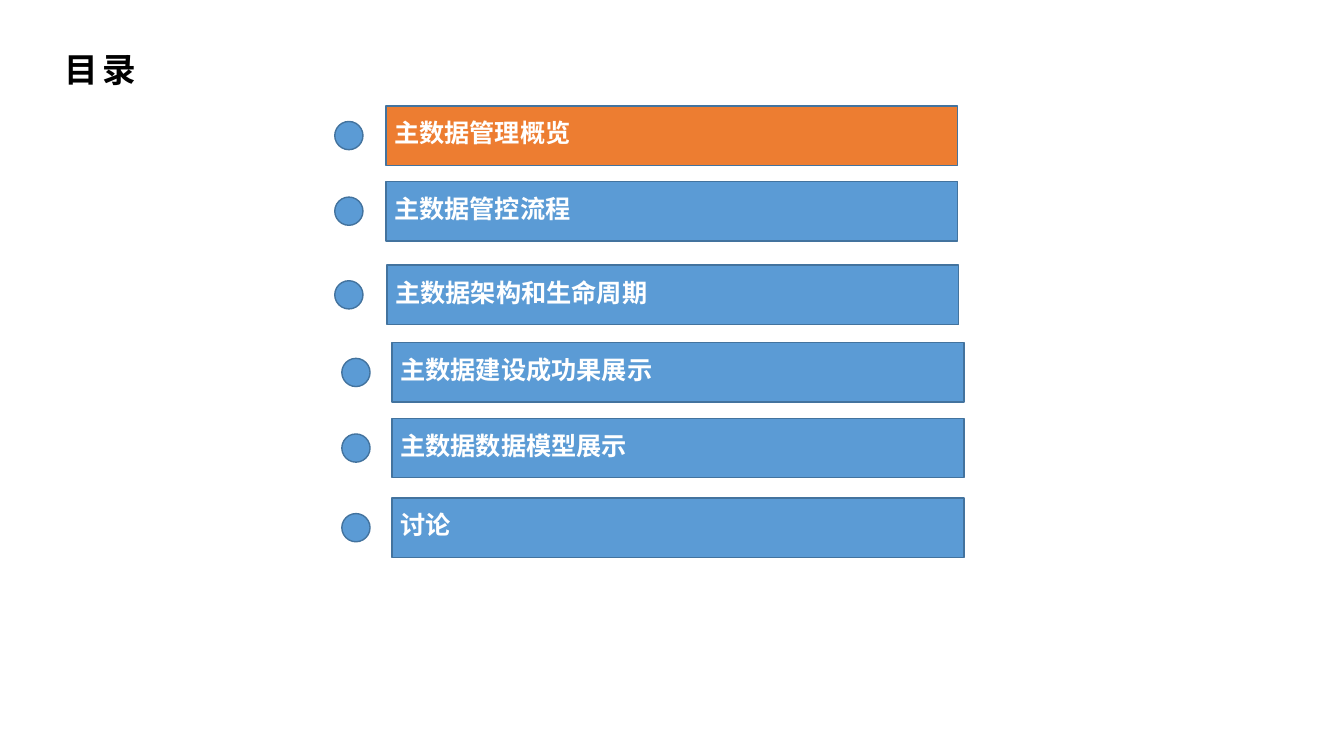
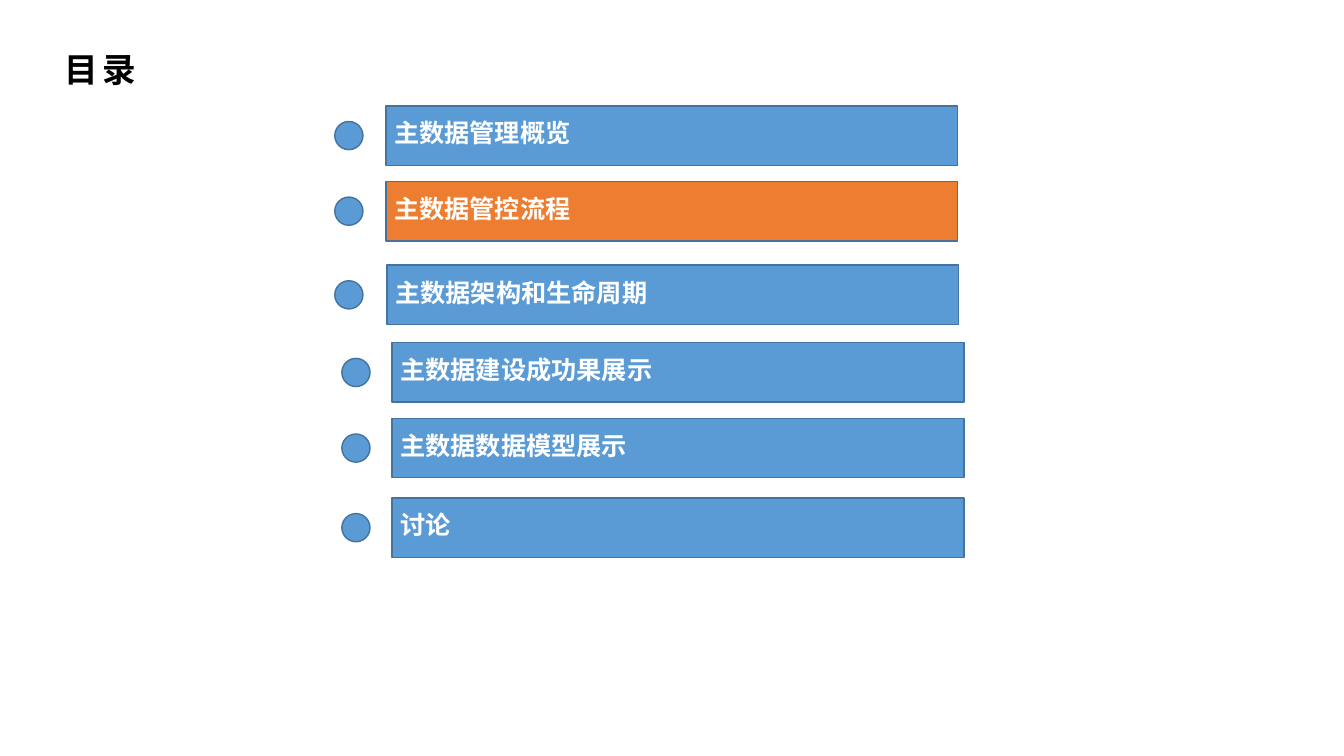
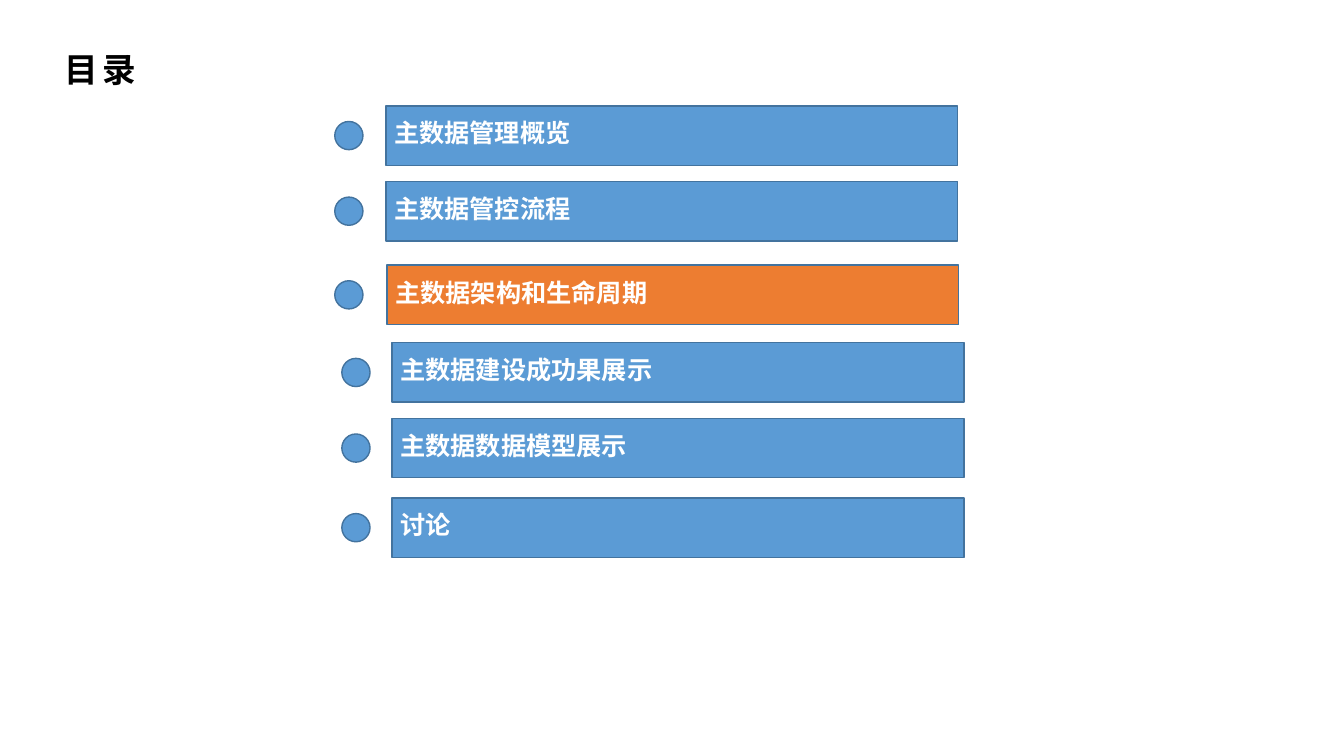
import pptx
import pptx.dml.color
import pptx.enum.lang
import pptx.enum.shapes
import pptx.enum.text
import pptx.util

SHAPES = pptx.enum.shapes.MSO_SHAPE
ANCHORS = pptx.enum.text.MSO_ANCHOR

TITLE = "目录"
# topic, bar left, bar top, dot left
TOPICS = [
    ("主数据管理概览", 383, 105, 332),
    ("主数据管控流程", 383, 180, 332),
    ("主数据架构和生命周期", 384, 263, 332),
    ("主数据建设成功果展示", 389, 340, 339),
    ("主数据数据模型展示", 389, 415, 339),
    ("讨论", 389, 494, 339),
]
CURRENT_TOPICS = [0, 1, 2]  # one slide for each

BLUE, ORANGE, OUTLINE = "5B9BD5", "ED7D31", "43739E"
BLACK, WHITE = "000000", "FFFFFF"
SLIDE_SIZE = (1333, 750)
TITLE_PLACE = (56, 53, 666, 55)
BAR_WIDTH, BAR_HEIGHT, DOT_SIZE, INSET = 567, 59, 28, 8


def px(length):
    """Turn px, 100 to the inch, into EMU."""
    return pptx.util.Emu(round(length * 9144))


def color(value):
    return pptx.dml.color.RGBColor.from_string(value)


def write_text(box, text, *, font, size, ink, line_spacing, anchor,
               tracking=0, top_inset=INSET):
    frame = box.text_frame
    frame.word_wrap = True
    frame.vertical_anchor = anchor
    frame.margin_left = frame.margin_right = frame.margin_bottom = px(INSET)
    frame.margin_top = px(top_inset)
    para = frame.paragraphs[0]
    para.alignment = pptx.enum.text.PP_ALIGN.LEFT
    para.line_spacing = line_spacing
    span = para.add_run()
    span.text = text
    span.font.name = font
    span.font.size = pptx.util.Pt(size)
    span.font.bold = True
    span.font.color.rgb = color(ink)
    span.font.language_id = pptx.enum.lang.MSO_LANGUAGE_ID.SIMPLIFIED_CHINESE
    if tracking:
        span.font._element.set("spc", str(tracking * 100))


def add_outlined(page, preset, place, fill):
    shape = page.shapes.add_shape(preset, *map(px, place))
    shape.shadow.inherit = False
    shape.fill.solid()
    shape.fill.fore_color.rgb = color(fill)
    shape.line.color.rgb = color(OUTLINE)
    shape.line.width = pptx.util.Pt(1)
    return shape


def add_agenda(deck, current):
    page = deck.slides.add_slide(deck.slide_layouts[6])
    title = page.shapes.add_textbox(*map(px, TITLE_PLACE))
    write_text(title, TITLE, font="Arial", size=24, ink=BLACK, line_spacing=0.9,
               anchor=ANCHORS.TOP, tracking=3, top_inset=0)
    for index, (topic, bar_left, top, dot_left) in enumerate(TOPICS):
        bar = add_outlined(page, SHAPES.RECTANGLE,
                           (bar_left, top, BAR_WIDTH, BAR_HEIGHT),
                           ORANGE if index == current else BLUE)
        write_text(bar, topic, font="Calibri", size=18, ink=WHITE,
                   line_spacing=0.8, anchor=ANCHORS.MIDDLE)
        dot_top = top + (BAR_HEIGHT - DOT_SIZE) / 2
        add_outlined(page, SHAPES.OVAL, (dot_left, dot_top, DOT_SIZE, DOT_SIZE), BLUE)


def main():
    deck = pptx.Presentation()
    deck.slide_width, deck.slide_height = map(px, SLIDE_SIZE)
    for current in CURRENT_TOPICS:
        add_agenda(deck, current)
    deck.save("out.pptx")


if __name__ == "__main__":
    main()
